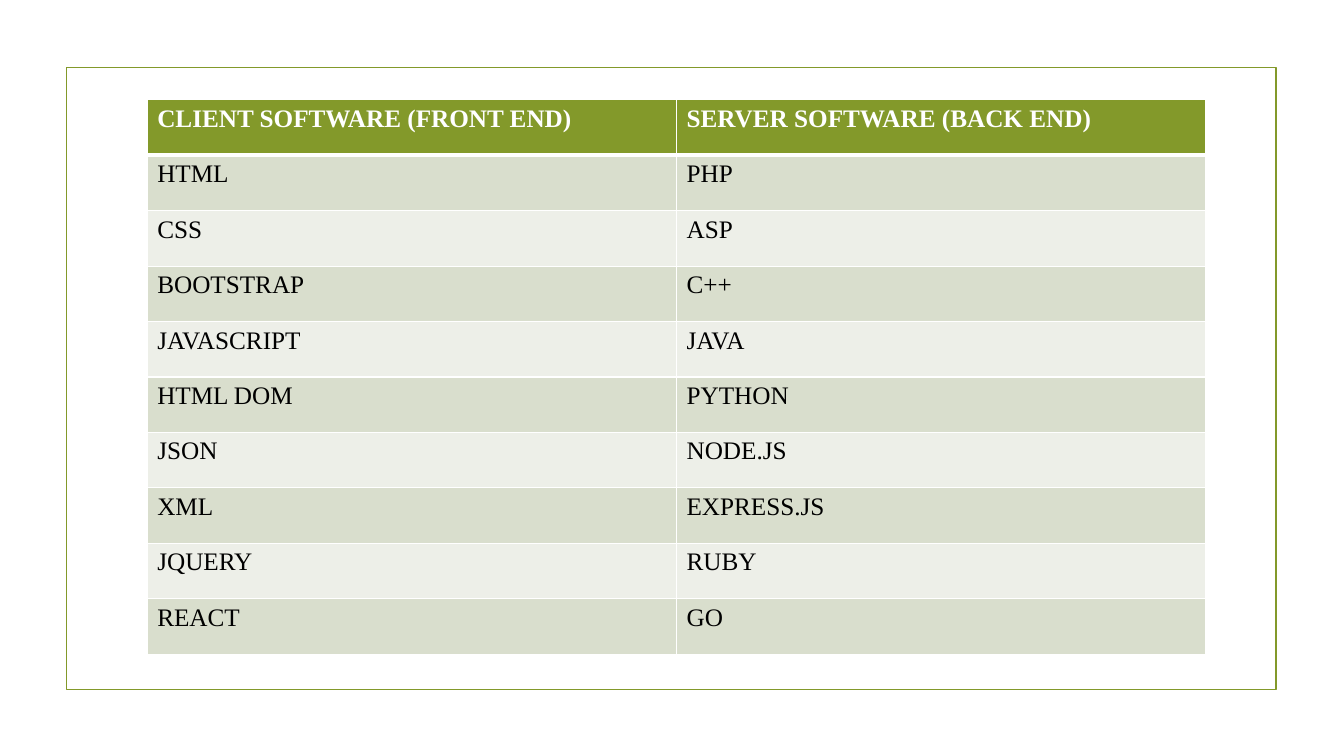
from dataclasses import dataclass

from pptx import Presentation
from pptx import dml, oxml, util as u
from pptx.dml import color as col
from pptx.enum import shapes as sh
from pptx.oxml import ns

SCALE = 9144


@dataclass(frozen=True)
class Theme:
    font: str = "Times New Roman"
    size: int = 18
    green: str = "83992A"
    white: str = "FFFFFF"
    black: str = "000000"
    bands: tuple[str, str] = ("D9DECD", "EDEFE8")
    frame: float = 1.25
    thin: int = 1
    thick: int = 3


@dataclass(frozen=True)
class Box:
    left: int
    top: int
    width: int
    height: int

    def emu(self) -> tuple[int, ...]:
        return tuple(px(n) for n in (self.left, self.top, self.width, self.height))


@dataclass(frozen=True)
class Pair:
    client: str
    server: str


THEME = Theme()
FRAME = Box(66, 67, 1200, 617)
GRID = Box(146, 99, 1050, 550)
PAIRS = [
    Pair("CLIENT SOFTWARE (FRONT END)", "SERVER SOFTWARE (BACK END)"),
    Pair("HTML", "PHP"),
    Pair("CSS", "ASP"),
    Pair("BOOTSTRAP", "C++"),
    Pair("JAVASCRIPT", "JAVA"),
    Pair("HTML DOM", "PYTHON"),
    Pair("JSON", "NODE.JS"),
    Pair("XML", "EXPRESS.JS"),
    Pair("JQUERY", "RUBY"),
    Pair("REACT", "GO"),
]


def px(n: int) -> int:
    return u.Emu(n * SCALE)


def rgb(code: str) -> col.RGBColor:
    return col.RGBColor.from_string(code)


def write(frame, words: str, *, color: str, bold: bool = False) -> None:
    run = frame.paragraphs[0].add_run()
    run.text = words
    font = run.font
    font.name = THEME.font
    font.size = u.Pt(THEME.size)
    font.bold = bold
    font.color.rgb = rgb(color)


def edge(cell, side: str, width: float) -> None:
    line = oxml.parse_xml(
        f'<a:ln{side} {ns.nsdecls("a")} w="{u.Pt(width)}"><a:solidFill>'
        f'<a:srgbClr val="{THEME.white}"/></a:solidFill></a:ln{side}>'
    )
    cell._tc.get_or_add_tcPr().append(line)


def draw_frame(slide, box: Box) -> None:
    rect = slide.shapes.add_shape(sh.MSO_SHAPE.RECTANGLE, *box.emu())
    rect.shadow.inherit = False
    rect.fill.background()
    rect.line.color.rgb = rgb(THEME.green)
    rect.line.width = u.Pt(THEME.frame)


def draw_cell(cell, words: str, row: int) -> None:
    head = row == 0
    for side in "LRTB":
        heavy = (row, side) in ((0, "B"), (1, "T"))
        edge(cell, side, THEME.thick if heavy else THEME.thin)
    cell.fill.solid()
    cell.fill.fore_color.rgb = rgb(THEME.green if head else THEME.bands[(row - 1) % 2])
    write(cell.text_frame, words, color=THEME.white if head else THEME.black, bold=head)


def draw_table(slide, box: Box, pairs: list[Pair]) -> None:
    table = slide.shapes.add_table(len(pairs), 2, *box.emu()).table
    for row, pair in enumerate(pairs):
        for side, words in enumerate((pair.client, pair.server)):
            draw_cell(table.cell(row, side), words, row)


def main() -> None:
    deck = Presentation()
    deck.slide_width, deck.slide_height = px(1333), px(750)
    slide = deck.slides.add_slide(deck.slide_layouts[6])
    draw_frame(slide, FRAME)
    draw_table(slide, GRID, PAIRS)
    deck.save("out.pptx")


if __name__ == "__main__":
    main()
